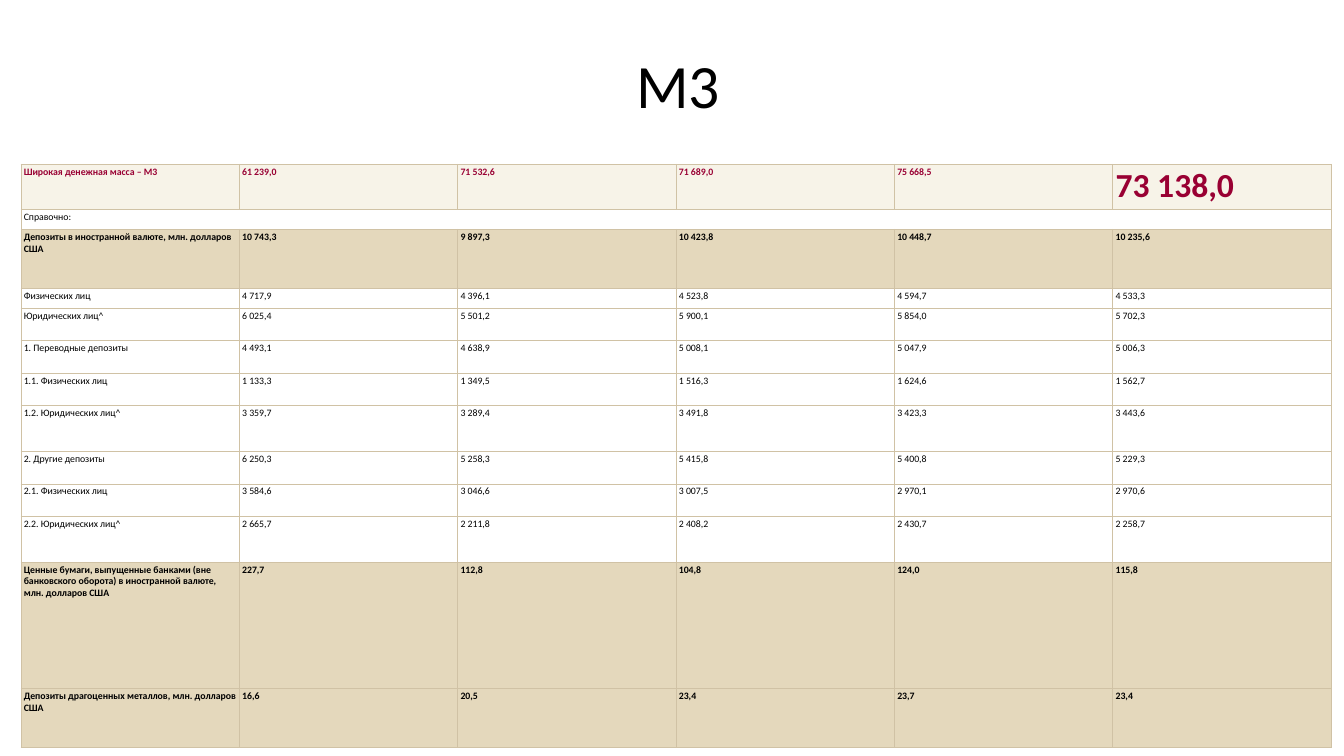
from dataclasses import dataclass
from enum import Enum

from lxml.etree import SubElement
from pptx import Presentation
from pptx.dml.color import RGBColor as Color
from pptx.enum.text import MSO_VERTICAL_ANCHOR as Anchor, PP_PARAGRAPH_ALIGNMENT as Align
from pptx.oxml.ns import qn
from pptx.slide import Slide
from pptx.table import Table, _Cell as Cell
from pptx.text.text import _Paragraph as Paragraph
from pptx.util import Cm, Pt


@dataclass(frozen=True)
class Theme:
    font: str = "Calibri"
    title_size: float = 44
    body_size: float = 7
    accent_size: float = 24
    black: str = "000000"
    crimson: str = "990033"
    white: str = "FFFFFF"
    cream: str = "F7F3E8"
    sand: str = "E4D8BC"
    border: str = "D0C2A5"
    border_width: float = 0.75


THEME = Theme()


@dataclass(frozen=True)
class RowStyle:
    fill: str
    color: str
    bold: bool


class Kind(Enum):
    TOTAL = RowStyle(THEME.cream, THEME.crimson, True)
    GROUP = RowStyle(THEME.sand, THEME.black, True)
    DETAIL = RowStyle(THEME.white, THEME.black, False)


@dataclass(frozen=True)
class MoneyRow:
    label: str
    height: float
    kind: Kind
    values: tuple[float, ...] = ()


ROWS = (
    MoneyRow("Широкая денежная масса – М3", 1.15, Kind.TOTAL,
             (61239.0, 71532.6, 71689.0, 75668.5, 73138.0)),
    MoneyRow("Справочно:", 0.49, Kind.DETAIL),
    MoneyRow("Депозиты в иностранной валюте, млн. долларов США", 1.5, Kind.GROUP,
             (10743.3, 9897.3, 10423.8, 10448.7, 10235.6)),
    MoneyRow("Физических лиц", 0.49, Kind.DETAIL, (4717.9, 4396.1, 4523.8, 4594.7, 4533.3)),
    MoneyRow("Юридических лиц^", 0.82, Kind.DETAIL, (6025.4, 5501.2, 5900.1, 5854.0, 5702.3)),
    MoneyRow("1. Переводные депозиты", 0.82, Kind.DETAIL,
             (4493.1, 4638.9, 5008.1, 5047.9, 5006.3)),
    MoneyRow("1.1. Физических лиц", 0.82, Kind.DETAIL, (1133.3, 1349.5, 1516.3, 1624.6, 1562.7)),
    MoneyRow("1.2. Юридических лиц^", 1.15, Kind.DETAIL,
             (3359.7, 3289.4, 3491.8, 3423.3, 3443.6)),
    MoneyRow("2. Другие депозиты", 0.82, Kind.DETAIL, (6250.3, 5258.3, 5415.8, 5400.8, 5229.3)),
    MoneyRow("2.1. Физических лиц", 0.82, Kind.DETAIL, (3584.6, 3046.6, 3007.5, 2970.1, 2970.6)),
    MoneyRow("2.2. Юридических лиц^", 1.15, Kind.DETAIL,
             (2665.7, 2211.8, 2408.2, 2430.7, 2258.7)),
    MoneyRow("Ценные бумаги, выпущенные банками (вне банковского оборота) "
             "в иностранной валюте, млн. долларов США", 3.18, Kind.GROUP,
             (227.7, 112.8, 104.8, 124.0, 115.8)),
    MoneyRow("Депозиты драгоценных металлов, млн. долларов США", 1.5, Kind.GROUP,
             (16.6, 20.5, 23.4, 23.7, 23.4)),
)
COLUMN_COUNT = 6
TABLE_WIDTH = 33.02


def format_amount(amount: float) -> str:
    return f"{amount:,.1f}".translate({ord(","): chr(160), ord("."): ","})


def format_runs(para: Paragraph, size: float, color: str, bold: bool = False) -> None:
    for span in para.runs:
        span.font.name = THEME.font
        span.font.size = Pt(size)
        span.font.bold = bold
        span.font.color.rgb = Color.from_string(color)


def add_borders(cell: Cell) -> None:
    properties = cell._tc.get_or_add_tcPr()
    for side in ("a:lnL", "a:lnR", "a:lnT", "a:lnB"):
        line = SubElement(properties, qn(side), w=str(Pt(THEME.border_width)))
        fill = SubElement(line, qn("a:solidFill"))
        SubElement(fill, qn("a:srgbClr"), val=THEME.border)


def style_cell(cell: Cell, style: RowStyle) -> None:
    cell.margin_left = cell.margin_right = Cm(0.07)
    cell.margin_top = cell.margin_bottom = Cm(0.04)
    cell.vertical_anchor = Anchor.TOP
    add_borders(cell)
    cell.fill.solid()
    cell.fill.fore_color.rgb = Color.from_string(style.fill)


def fill_row(table: Table, index: int, row: MoneyRow) -> None:
    style = row.kind.value
    table.rows[index].height = Cm(row.height)
    for cell in table.rows[index].cells:
        style_cell(cell, style)
    if not row.values:
        table.cell(index, 0).merge(table.cell(index, COLUMN_COUNT - 1))
    texts = (row.label, *map(format_amount, row.values))
    for column, text in enumerate(texts):
        latest_total = row.kind is Kind.TOTAL and column == COLUMN_COUNT - 1
        size = THEME.accent_size if latest_total else THEME.body_size
        para = table.cell(index, column).text_frame.paragraphs[0]
        para.text = text
        format_runs(para, size, style.color, style.bold)


def add_title(page: Slide, text: str) -> None:
    box = page.shapes.add_textbox(Cm(2.64), Cm(1.02), Cm(28.91), Cm(2.44))
    frame = box.text_frame
    frame.word_wrap = True
    frame.vertical_anchor = Anchor.MIDDLE
    para = frame.paragraphs[0]
    para.text = text
    para.alignment = Align.CENTER
    para.line_spacing = 0.9
    format_runs(para, THEME.title_size, THEME.black)


def add_money_table(page: Slide) -> None:
    height = sum(row.height for row in ROWS)
    table = page.shapes.add_table(
        len(ROWS), COLUMN_COUNT, Cm(0.53), Cm(4.14), Cm(TABLE_WIDTH), Cm(height)
    ).table
    table.first_row = False
    table.horz_banding = False
    for column in table.columns:
        column.width = Cm(TABLE_WIDTH / COLUMN_COUNT)
    for index, row in enumerate(ROWS):
        fill_row(table, index, row)


def main() -> None:
    deck = Presentation()
    deck.slide_width = Cm(33.87)
    deck.slide_height = Cm(19.05)
    page = deck.slides.add_slide(deck.slide_layouts[6])
    add_title(page, "М3")
    add_money_table(page)
    deck.save("out.pptx")


if __name__ == "__main__":
    main()
